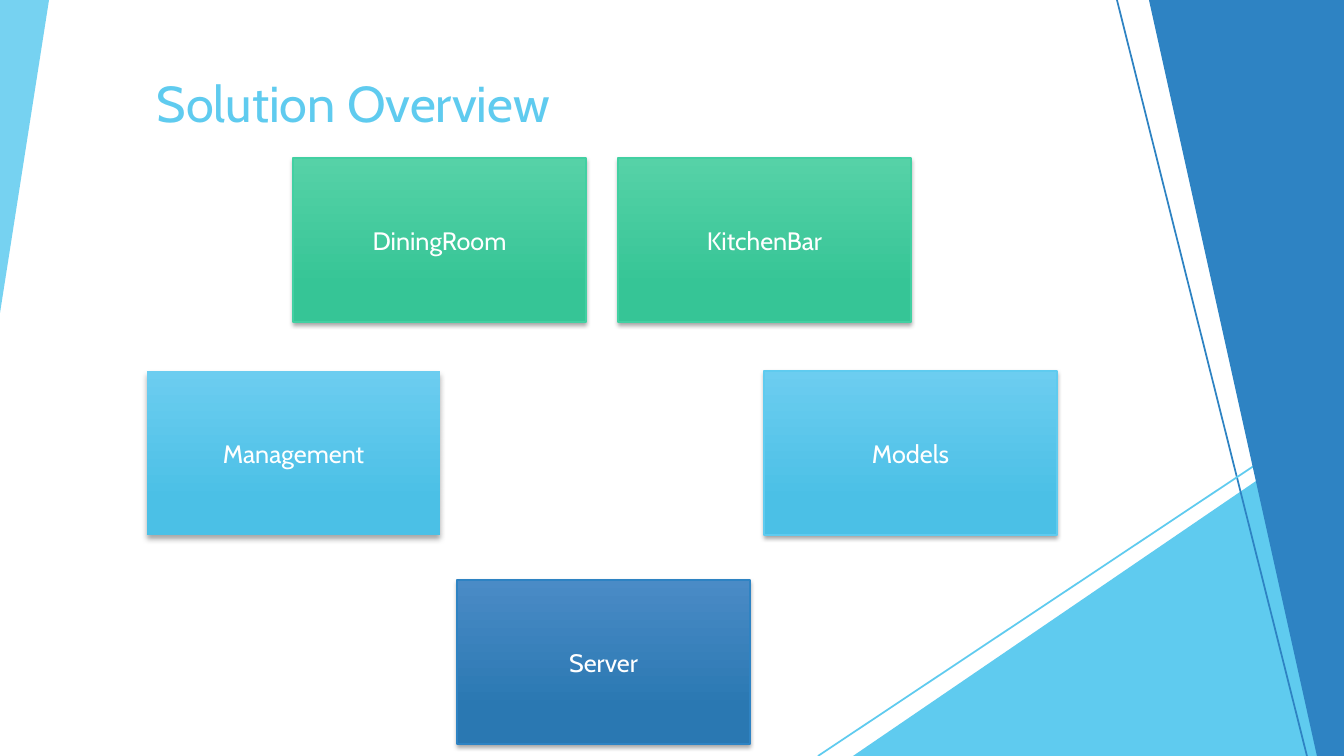
"""Build the Solution Overview slide: five project boxes on a faceted background."""
from lxml import etree
from pptx import Presentation
from pptx.dml.color import RGBColor
from pptx.enum.shapes import MSO_CONNECTOR as CONN, MSO_SHAPE as SHAPE
from pptx.enum.text import MSO_ANCHOR as ANCHOR, PP_ALIGN as ALIGN
from pptx.oxml.ns import qn
from pptx.util import Pt

PX = 914400 / 100.8
W, H = 1344, 756
FONT = "Cabin"
COLORS = {
    "sky": "5FCBEF", "blue": "2E83C3", "green": "42D0A2",
    "white": "FFFFFF", "black": "000000",
    "green_top": "56D2A7", "green_low": "36C596",
    "sky_top": "6CCDF0", "sky_low": "4BC0E6",
    "blue_top": "4A8BC6", "blue_low": "2A78B2",
}
TITLE = ("Solution Overview", (147, 67, 948, 145))
TRIANGLES = [((0, 0, 49, 313), 0, True, 85), ((853, 421, 491, 335), 1, False, 100)]
LINES = [((1117, 0), (1307, H), "blue"), ((W, 406), (818, H), "sky")]
BAND = [(1149, 0), (W, 0), (W, H), (1317, H)]
BOX_W, BOX_H = 293, 164
THIN_SHADOW, DEEP_SHADOW = (3, 2), (4, 3)
BOXES = [
    ("DiningRoom", 293, 158, "green", True, THIN_SHADOW),
    ("KitchenBar", 618, 158, "green", True, THIN_SHADOW),
    ("Management", 147, 371, "sky", False, DEEP_SHADOW),
    ("Models", 764, 371, "sky", True, THIN_SHADOW),
    ("Server", 457, 580, "blue", True, THIN_SHADOW),
]


def px(*values):
    return [round(v * PX) for v in values]


def rgb(name):
    return RGBColor.from_string(COLORS[name])


def write(s, text, size, color, **para):
    tf = s.text_frame
    tf.word_wrap = True
    p = tf.paragraphs[0]
    for key, value in para.items():
        setattr(p, key, value)
    r = p.add_run()
    r.text = text
    for key, value in {"name": FONT, "size": Pt(size)}.items():
        setattr(r.font, key, value)
    r.font.color.rgb = rgb(color)
    return tf


def paint(s, color, opacity=100):
    s.shadow.inherit = False
    s.fill.solid()
    s.fill.fore_color.rgb = rgb(color)
    s.line.fill.background()
    if opacity < 100:
        clr = s._element.spPr.find(".//" + qn("a:srgbClr"))
        etree.SubElement(clr, qn("a:alpha"), val=str(opacity * 1000))


def add_shadow(s, blur, dist):
    s.shadow.inherit = False
    effects = s._element.spPr.find(qn("a:effectLst"))
    outer = etree.SubElement(effects, qn("a:outerShdw"), blurRad=str(Pt(blur)),
                             dist=str(Pt(dist)), dir="5400000", rotWithShape="0")
    clr = etree.SubElement(outer, qn("a:srgbClr"), val=COLORS["black"])
    etree.SubElement(clr, qn("a:alpha"), val="35000")


def add_triangle(sp, box, apex, flipped, opacity):
    s = sp.add_shape(SHAPE.ISOSCELES_TRIANGLE, *px(*box))
    s.adjustments[0] = apex
    paint(s, "sky", opacity)
    if flipped:
        s._element.spPr.find(qn("a:xfrm")).set("flipV", "1")


def add_line(sp, start, end, color):
    s = sp.add_connector(CONN.STRAIGHT, *px(*start, *end))
    s.line.color.rgb = rgb(color)
    s.line.width = Pt(1.25)
    etree.SubElement(s._element.spPr, qn("a:effectLst"))


def add_box(sp, text, x, y, color, outlined, shadow):
    s = sp.add_shape(SHAPE.RECTANGLE, *px(x, y, BOX_W, BOX_H))
    s.fill.gradient()
    s.fill.gradient_angle = 270
    stops = ((0, color + "_top"), (0.78, color + "_low"))
    for stop, (position, shade) in zip(s.fill.gradient_stops, stops):
        stop.position = position
        stop.color.rgb = rgb(shade)
    if outlined:
        s.line.color.rgb = rgb(color)
        s.line.width = Pt(1)
    else:
        s.line.fill.background()
    add_shadow(s, *shadow)
    tf = write(s, text, 18, "white", alignment=ALIGN.CENTER)
    tf.vertical_anchor = ANCHOR.MIDDLE


def main():
    prs = Presentation()
    prs.slide_width, prs.slide_height = px(W, H)
    sp = prs.slides.add_slide(prs.slide_layouts[6]).shapes

    text, box = TITLE
    write(sp.add_textbox(*px(*box)), text, 36, "sky")
    for triangle in TRIANGLES:
        add_triangle(sp, *triangle)
    for line in LINES:
        add_line(sp, *line)
    band = sp.build_freeform(*BAND[0], scale=PX)
    band.add_line_segments(BAND[1:], close=True)
    paint(band.convert_to_shape(), "blue")
    for item in BOXES:
        add_box(sp, *item)

    prs.save("out.pptx")


if __name__ == "__main__":
    main()
